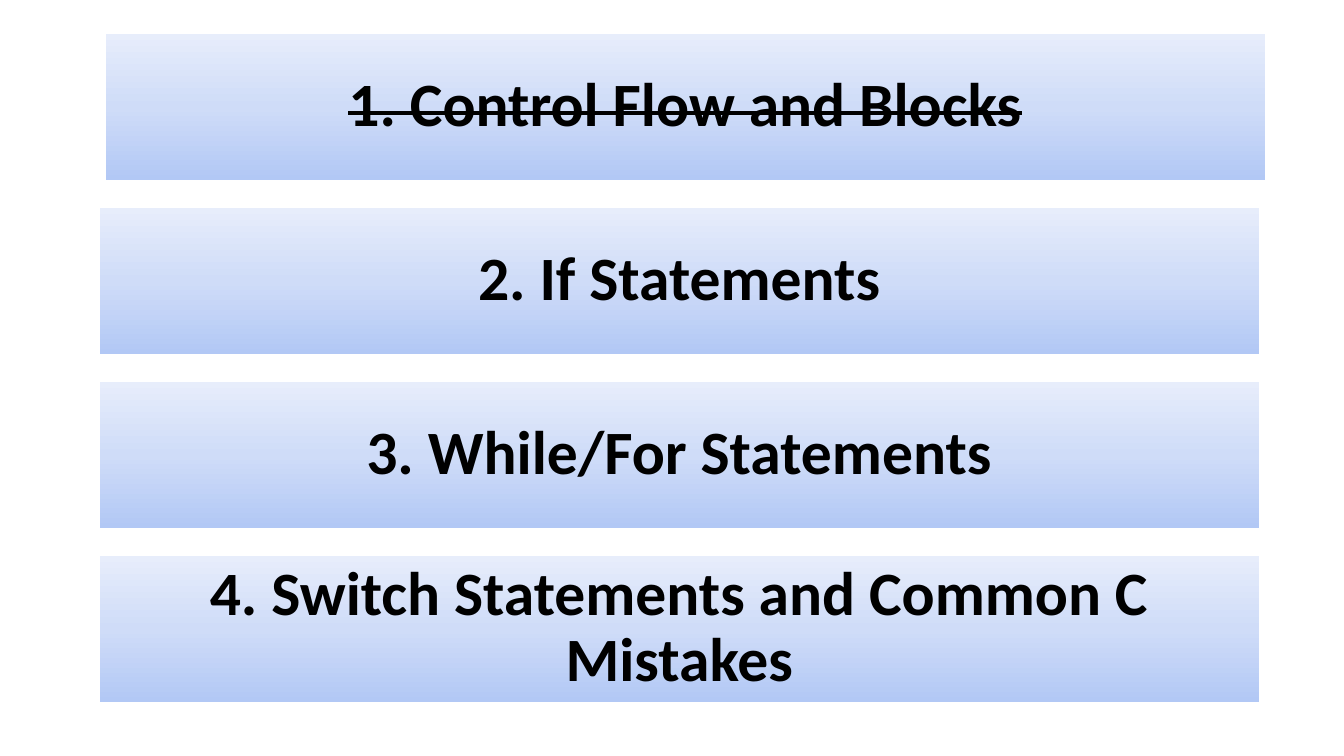
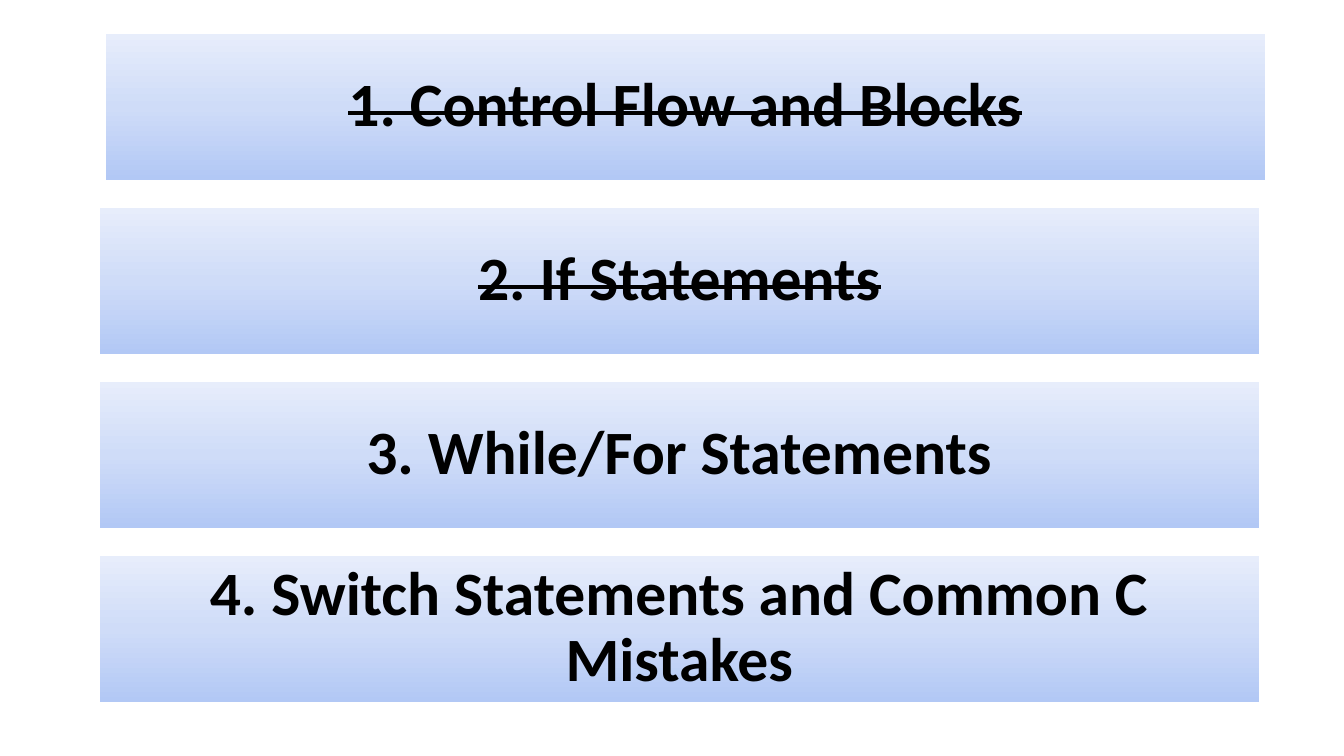
from copy import deepcopy

from pptx import Presentation
from pptx.dml.color import RGBColor
from pptx.enum.shapes import MSO_SHAPE
from pptx.enum.text import MSO_ANCHOR, PP_ALIGN
from pptx.oxml.ns import qn
from pptx.util import Pt

# Content: the agenda, and how many topics are done on each slide
TOPICS = [
    "1. Control Flow and Blocks",
    "2. If Statements",
    "3. While/For Statements",
    "4. Switch Statements and Common C Mistakes",
]
DONE_COUNTS = [1, 2]

# Shared style
RECTANGLE = MSO_SHAPE.RECTANGLE
CENTER = PP_ALIGN.CENTER
MIDDLE = MSO_ANCHOR.MIDDLE
BLACK = RGBColor(0x00, 0x00, 0x00)
GRADIENT = [
    (0, RGBColor(0xB2, 0xC8, 0xF5)),
    (0.5, RGBColor(0xCF, 0xDC, 0xF8)),
    (1, RGBColor(0xE7, 0xED, 0xFB)),
]
FONT_NAME = "Calibri"
FONT_SIZE = 44

# Layout in points
SLIDE_WIDTH, SLIDE_HEIGHT = 960, 540
FIRST_LEFT, OTHER_LEFT = 75.6, 71.3
BAND_TOP, BAND_PITCH = 24, 124.3
BAND_WIDTH, BAND_HEIGHT = 828, 104.4


def fill_gradient(shape):
    """Fill from dark at the bottom to light at the top."""
    shape.fill.gradient()
    shape.fill.gradient_angle = 90
    # The default gradient has two stops; add the middle one
    first_stop = shape._element.spPr.find(".//" + qn("a:gs"))
    first_stop.addnext(deepcopy(first_stop))
    for stop, (position, color) in zip(shape.fill.gradient_stops, GRADIENT):
        stop.position = position
        stop.color.rgb = color


def add_band(slide, index, topic, done):
    left = OTHER_LEFT if index else FIRST_LEFT
    top = BAND_TOP + index * BAND_PITCH
    shape = slide.shapes.add_shape(
        RECTANGLE, Pt(left), Pt(top), Pt(BAND_WIDTH), Pt(BAND_HEIGHT))
    shape.shadow.inherit = False
    shape.line.fill.background()
    fill_gradient(shape)

    text_frame = shape.text_frame
    text_frame.text = topic
    text_frame.word_wrap = True
    text_frame.vertical_anchor = MIDDLE
    paragraph = text_frame.paragraphs[0]
    paragraph.alignment = CENTER
    paragraph.line_spacing = 0.9
    font = paragraph.runs[0].font
    font.name = FONT_NAME
    font.size = Pt(FONT_SIZE)
    font.bold = True
    font.color.rgb = BLACK
    if done:
        font._element.set("strike", "sngStrike")


def main():
    presentation = Presentation()
    presentation.slide_width = Pt(SLIDE_WIDTH)
    presentation.slide_height = Pt(SLIDE_HEIGHT)
    blank_layout = presentation.slide_layouts[6]
    for done_count in DONE_COUNTS:
        slide = presentation.slides.add_slide(blank_layout)
        for index, topic in enumerate(TOPICS):
            add_band(slide, index, topic, index < done_count)
    presentation.save("out.pptx")


if __name__ == "__main__":
    main()
